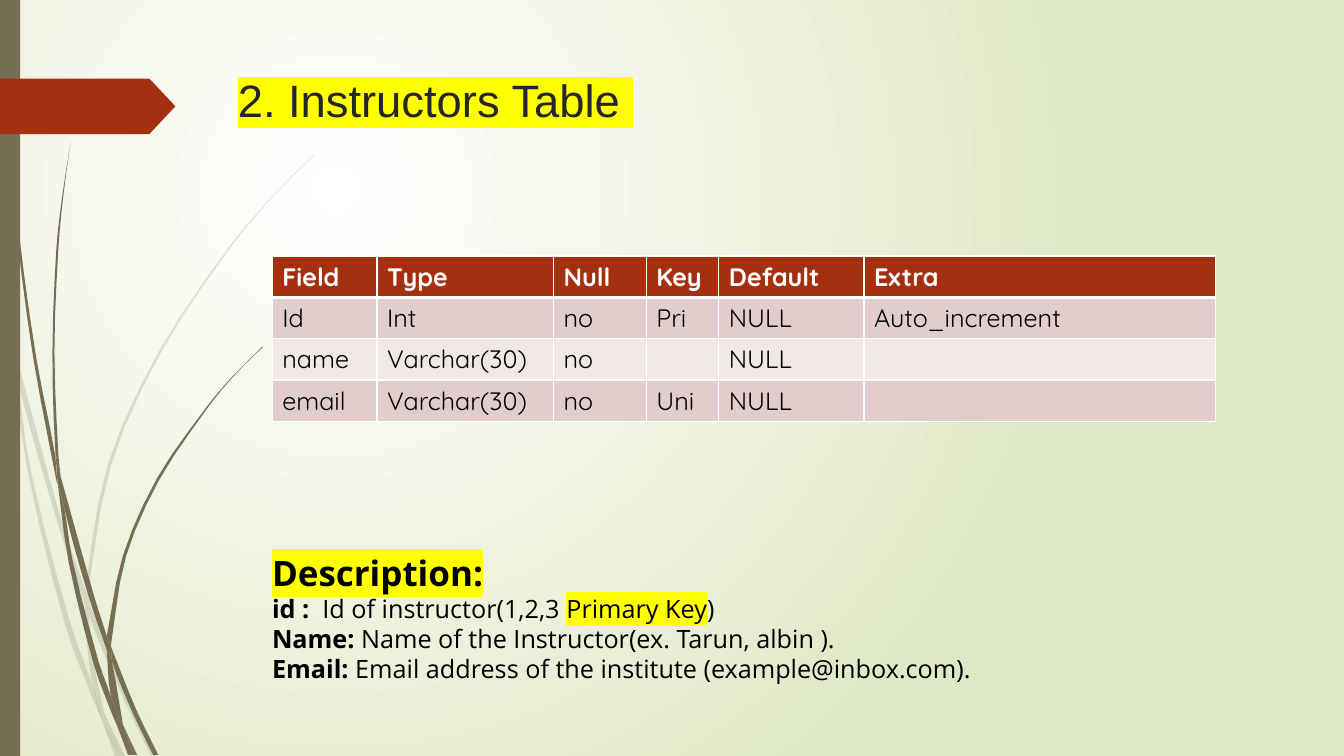
from typing import NamedTuple

from lxml import etree
from pptx import Presentation
from pptx.dml import color as dml
from pptx.enum import shapes
from pptx.oxml import ns
from pptx.util import Inches, Pt

COLORS = {"olive": "766F54", "rust": "A53010", "pale_green": "DFE8C4", "white": "FFFFFF",
          "black": "000000", "charcoal": "262626", "yellow": "FFFF00", "rose": "E1CDCC",
          "blush": "F0E8E7"}
Points = list[tuple[float, float]]


class Blade(NamedTuple):
    """A stretch of grass, with both edges listed from top to bottom."""
    left: Points
    right: Points


class Phrase(NamedTuple):
    text: str
    bold: bool = False
    highlight: str | None = None
    size: float = 18


FADED_GRASS = [
    Blade([(0, 2.99), (0.1, 3.44), (0.11, 3.5)], [(0, 2.82), (0.09, 3.22), (0.11, 3.5)]),
    Blade([(0.14, 3.45), (0.17, 3.76), (0.58, 5.22), (0.84, 5.99)],
          [(0.14, 3.45), (0.62, 5.2), (0.85, 5.86)]),
    Blade([(0.88, 5.96), (0.88, 6.1), (1.23, 6.94), (1.5, 7.5)],
          [(0.88, 5.96), (0.92, 6.07), (1.27, 6.92), (1.55, 7.5)]),
    Blade([(1.05, 7.11), (1.19, 7.5)], [(1.05, 7.11), (1.24, 7.5)]),
    Blade([(0.11, 3.5), (0.28, 4.7), (0.65, 6.21), (0.92, 6.93), (1.01, 7.14)],
          [(0.11, 3.5), (0.17, 3.76), (0.31, 4.69), (0.7, 6.19), (0.93, 6.83), (1.01, 7.14)]),
    Blade([(0.84, 5.99), (0.87, 6.46), (0.93, 6.83), (1.05, 7.11)],
          [(0.84, 5.99), (0.88, 6.1), (0.91, 6.46), (1.03, 7.06), (1.05, 7.11)]),
    Blade([(3.12, 1.53), (2.89, 1.75), (2.68, 1.97), (2.28, 2.44), (1.58, 3.48), (1.07, 4.61),
           (0.85, 5.84), (0.88, 5.96)],
          [(3.12, 1.54), (2.9, 1.75), (2.68, 1.98), (2.29, 2.45), (1.6, 3.49), (1.1, 4.62),
           (0.88, 5.84), (0.88, 5.96)]),
    Blade([(1.01, 7.14), (1.14, 7.5)], [(1.01, 7.14), (1.19, 7.5)]),
    Blade([(0.85, 5.86), (0.84, 5.99), (0.88, 6.1)], [(0.85, 5.86), (0.88, 5.96), (0.88, 6.1)]),
    Blade([(0.93, 6.83), (1.01, 7.14), (1.19, 7.5)], [(0.93, 6.83), (1.05, 7.11), (1.19, 7.5)]),
]
SOLID_GRASS = [
    Blade([(0.03, 0), (0.04, 0.48), (0.07, 1.1), (0.17, 2.33), (0.33, 3.55), (0.56, 4.77), (0.57, 4.81)],
          [(0.04, 0), (0.05, 0.48), (0.08, 1.09), (0.19, 2.32), (0.36, 3.55), (0.55, 4.53), (0.57, 4.81)]),
    Blade([(0.6, 4.72), (0.64, 5.05), (0.88, 5.92), (1.06, 6.45)],
          [(0.6, 4.72), (0.93, 5.9), (1.06, 6.31)]),
    Blade([(1.1, 6.41), (1.11, 6.56), (1.32, 7.08), (1.52, 7.49)],
          [(1.1, 6.41), (1.13, 6.49), (1.36, 7.06), (1.57, 7.49)]),
    Blade([(0.57, 4.77), (0.68, 5.57), (0.93, 6.59), (1.11, 7.08), (1.17, 7.22)],
          [(0.57, 4.77), (0.64, 5.05), (0.72, 5.56), (0.98, 6.57), (1.1, 6.91), (1.17, 7.22)]),
    Blade([(0.7, 1.41), (0.62, 1.93), (0.56, 2.45), (0.52, 3.49), (0.55, 4.49), (0.6, 4.72)],
          [(0.7, 1.41), (0.63, 1.93), (0.58, 2.45), (0.54, 3.49), (0.58, 4.53), (0.6, 4.72)]),
    Blade([(1.22, 7.19), (1.33, 7.49)], [(1.22, 7.19), (1.36, 7.49)]),
    Blade([(0.55, 4.49), (0.57, 4.77), (0.64, 5.05)], [(0.55, 4.49), (0.6, 4.72), (0.64, 5.05)]),
    Blade([(2.6, 3.44), (2.31, 3.73), (2.04, 4.05), (1.56, 4.74), (1.22, 5.51), (1.06, 6.31)],
          [(2.61, 3.44), (2.31, 3.74), (2.05, 4.06), (1.58, 4.76), (1.25, 5.52), (1.11, 6.33), (1.1, 6.41)]),
    Blade([(1.17, 7.22), (1.27, 7.49)], [(1.17, 7.22), (1.31, 7.49)]),
    Blade([(1.06, 6.45), (1.1, 6.91), (1.22, 7.19)], [(1.06, 6.45), (1.11, 6.56), (1.22, 7.19)]),
    Blade([(1.06, 6.31), (1.06, 6.45), (1.11, 6.56)], [(1.06, 6.31), (1.1, 6.41), (1.11, 6.56)]),
    Blade([(1.1, 6.91), (1.17, 7.22), (1.3, 7.49)], [(1.1, 6.91), (1.22, 7.19), (1.33, 7.49)]),
]
FIELDS = [["Field", "Type", "Null", "Key", "Default", "Extra"],
          ["Id", "Int", "no", "Pri", "NULL", "Auto_increment"],
          ["name", "Varchar(30)", "no", "", "NULL", ""],
          ["email", "Varchar(30)", "no", "Uni", "NULL", ""]]
FIELD_WIDTHS = [1.04, 1.75, 0.92, 0.72, 1.44, 3.49]
ROW_HEIGHT = 0.41
TITLE = [[Phrase("2. Instructors Table ", highlight="yellow", size=32.4)]]
DESCRIPTION = [
    [Phrase("Description:", True, "yellow", 25)],
    [Phrase("id : ", True), Phrase(" Id of instructor(1,2,3 "),
     Phrase("Primary Key", highlight="yellow"), Phrase(")")],
    [Phrase("Name:", True), Phrase(" Name of the Instructor(ex. Tarun, albin ).")],
    [Phrase("Email:", True), Phrase(" Email address of the institute (example@inbox.com).")],
]


def rgb(name: str) -> dml.RGBColor:
    return dml.RGBColor.from_string(COLORS[name])


def add_text(paragraph, content: str, *, font: str, size: float, color: str = "black",
             bold: bool = False, highlight: str | None = None) -> None:
    run = paragraph.add_run()
    run.text = content
    run.font.name, run.font.size, run.font.bold = font, Pt(size), bold
    run.font.color.rgb = rgb(color)
    if highlight:
        marker = etree.Element(ns.qn("a:highlight"))
        etree.SubElement(marker, ns.qn("a:srgbClr"), val=COLORS[highlight])
        run.font._element.find(ns.qn("a:solidFill")).addnext(marker)


def write_lines(slide, lines: list[list[Phrase]], box: tuple, font: str, color: str) -> None:
    frame = slide.shapes.add_textbox(*map(Inches, box)).text_frame
    frame.word_wrap = True
    for index, phrases in enumerate(lines):
        line = frame.add_paragraph() if index else frame.paragraphs[0]
        for phrase in phrases:
            add_text(line, phrase.text, font=font, size=phrase.size, color=color,
                     bold=phrase.bold, highlight=phrase.highlight)


def paint(shape, color: str, opacity: int = 100) -> None:
    shape.shadow.inherit = False
    shape.fill.solid()
    shape.fill.fore_color.rgb = rgb(color)
    shape.line.fill.background()
    if opacity < 100:
        tint = shape._element.spPr.find(".//" + ns.qn("a:srgbClr"))
        etree.SubElement(tint, ns.qn("a:alpha"), val=str(opacity * 1000))


def smooth_edge(knots: Points) -> Points:
    """Cubic Hermite curve giving x as a function of y, in EMU."""
    around = zip(knots[:1] + knots[:-1], knots[1:] + knots[-1:])
    slopes = [(x1 - x0) / (y1 - y0) for (x0, y0), (x1, y1) in around]
    curve = []
    for (x0, y0), (x1, y1), m0, m1 in zip(knots, knots[1:], slopes, slopes[1:]):
        span = y1 - y0
        steps = 3 if span > 0.3 else 1
        for t in (step / steps for step in range(steps)):
            x = (x0 * (1 + 2 * t) * (1 - t) ** 2 + x1 * t * t * (3 - 2 * t)
                 + span * t * (1 - t) * (m0 * (1 - t) - m1 * t))
            curve.append((Inches(x), Inches(y0 + t * span)))
    return curve + [tuple(map(Inches, knots[-1]))]


def draw_blade(slide, blade: Blade, opacity: int) -> None:
    outline = smooth_edge(blade.left) + smooth_edge(blade.right)[::-1]
    builder = slide.shapes.build_freeform(*outline[0])
    builder.add_line_segments(outline[1:], close=True)
    paint(builder.convert_to_shape(), "olive", opacity)


def draw_background(slide) -> None:
    fill = slide.background.fill
    fill.gradient()
    for stop, name in zip(fill.gradient_stops, ("white", "pale_green")):
        stop.color.rgb = rgb(name)
    linear = slide._element.find(".//" + ns.qn("a:lin"))
    radial = etree.Element(ns.qn("a:path"), path="circle")
    etree.SubElement(radial, ns.qn("a:fillToRect"), l="50000", t="50000", r="100000", b="100000")
    linear.getparent().replace(linear, radial)


def set_borders(cell, widths: dict[str, float]) -> None:
    for index, (side, width) in enumerate(widths.items()):
        border = etree.Element(ns.qn(f"a:ln{side}"), w=str(Pt(width)))
        line_fill = etree.SubElement(border, ns.qn("a:solidFill"))
        etree.SubElement(line_fill, ns.qn("a:srgbClr"), val=COLORS["white"])
        cell._tc.get_or_add_tcPr().insert(index, border)


def draw_fields(slide) -> None:
    box = (2.7, 2.54, sum(FIELD_WIDTHS), ROW_HEIGHT * len(FIELDS))
    table = slide.shapes.add_table(len(FIELDS), len(FIELD_WIDTHS), *map(Inches, box)).table
    for column, width in zip(table.columns, FIELD_WIDTHS):
        column.width = Inches(width)
    for r, values in enumerate(FIELDS):
        header = r == 0
        for c, value in enumerate(values):
            cell = table.cell(r, c)
            cell.fill.solid()
            cell.fill.fore_color.rgb = rgb("rust" if header else ("blush", "rose")[r % 2])
            set_borders(cell, {"L": 1, "R": 1, "T": 3 if r == 1 else 1, "B": 3 if header else 1})
            paragraph = cell.text_frame.paragraphs[0]
            paragraph.font.size = Pt(18)
            if value:
                add_text(paragraph, value, font="Quicksand", size=18, bold=header,
                         color="white" if header else "black")


def main() -> None:
    deck = Presentation()
    deck.slide_width, deck.slide_height = Inches(13.33), Inches(7.5)
    slide = deck.slides.add_slide(deck.slide_layouts[6])
    # Backdrop: gradient, grass, side bar and arrow tab
    draw_background(slide)
    for grass, opacity in ((FADED_GRASS, 20), (SOLID_GRASS, 100)):
        for blade in grass:
            draw_blade(slide, blade, opacity)
    preset = shapes.MSO_SHAPE
    side_bar = slide.shapes.add_shape(preset.RECTANGLE, 0, 0, Inches(0.2), Inches(7.5))
    paint(side_bar, "olive")
    arrow_tab = slide.shapes.add_shape(preset.PENTAGON, 0, Inches(0.78), Inches(1.74), Inches(0.55))
    arrow_tab.adjustments[0] = 0.47
    paint(arrow_tab, "rust")
    # Title, table of fields and description
    write_lines(slide, TITLE, (2.26, 0.67, 5.38, 0.95), "Arial", "charcoal")
    draw_fields(slide)
    write_lines(slide, DESCRIPTION, (2.6, 5.42, 9.2, 1.73), "Open Sans", "black")
    deck.save("out.pptx")


if __name__ == "__main__":
    main()
